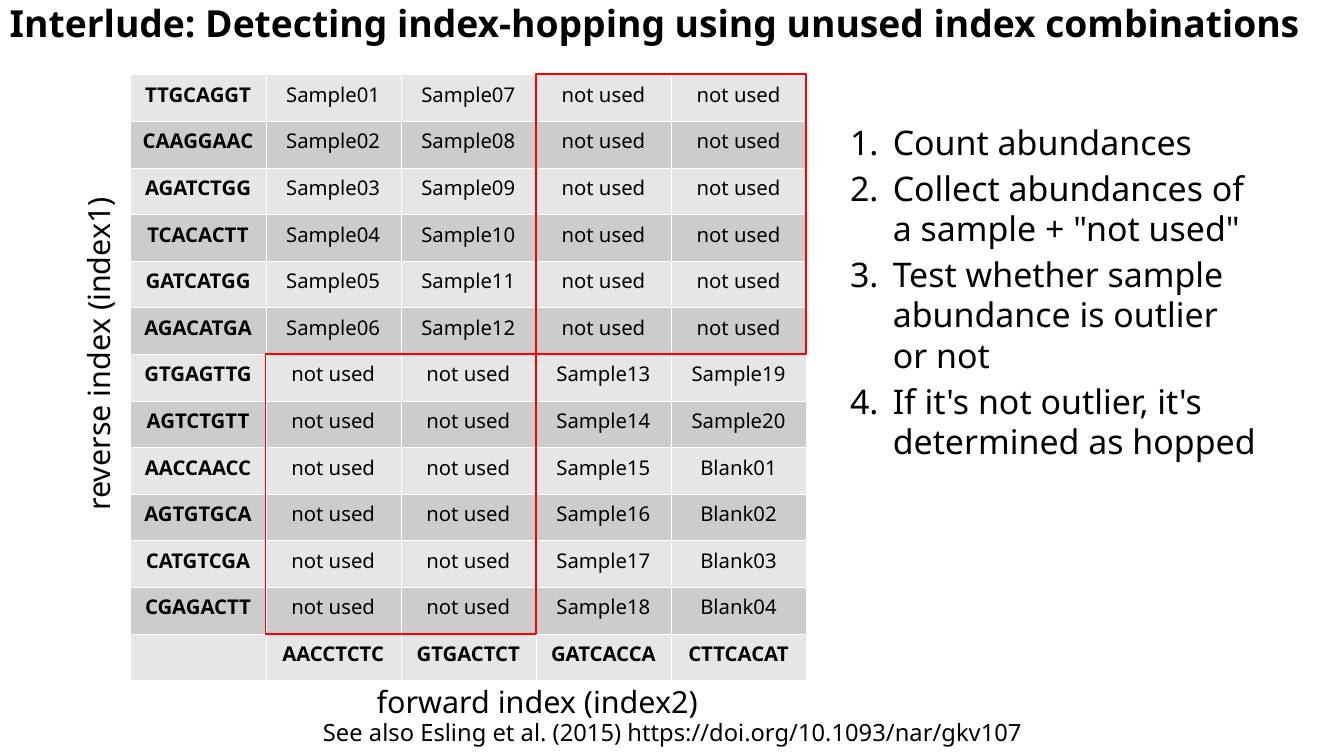
from dataclasses import dataclass

from lxml import etree
from pptx import Presentation
from pptx import util as u
from pptx.dml.color import RGBColor
from pptx.enum import shapes, text
from pptx.oxml import ns


@dataclass(frozen=True)
class Theme:
    font: str = "Noto Sans"
    ink: str = "000000"
    grid: str = "FFFFFF"
    frame: str = "FF0000"
    bands: tuple[str, str] = ("E6E6E6", "CCCCCC")
    title_size: int = 22
    list_size: int = 20
    axis_size: int = 18
    source_size: int = 14
    cell_size: int = 12


@dataclass(frozen=True)
class Label:
    words: str
    left: float
    top: float
    width: float
    height: float
    size: int
    rotation: int = 0


@dataclass(frozen=True)
class UnusedBlock:
    column: int
    row: int


THEME = Theme()
TABLE_LEFT, TABLE_TOP = 1.07, 0.61
COLUMN_WIDTH, ROW_HEIGHT = 5.54 / 5, 4.97 / 13
BLOCK_COLUMNS, BLOCK_ROWS = 2, 6

TITLE = "Interlude: Detecting index-hopping using unused index combinations"
STEPS = [
    "Count abundances",
    'Collect abundances of a sample + "not used"',
    "Test whether sample abundance is outlier or not",
    "If it's not outlier, it's determined as hopped",
]
REVERSE_INDEXES = [
    "TTGCAGGT", "CAAGGAAC", "AGATCTGG", "TCACACTT", "GATCATGG", "AGACATGA",
    "GTGAGTTG", "AGTCTGTT", "AACCAACC", "AGTGTGCA", "CATGTCGA", "CGAGACTT",
]
FORWARD_INDEXES = ["AACCTCTC", "GTGACTCT", "GATCACCA", "CTTCACAT"]
WELLS = [f"Sample{n:02}" for n in range(1, 21)] + [f"Blank{n:02}" for n in range(1, 5)]
UNUSED_BLOCKS = [UnusedBlock(3, 0), UnusedBlock(1, 6)]
LABELS = [
    Label("reverse index (index1)", -0.56, 2.68, 2.77, 0.44, THEME.axis_size, 270),
    Label("forward index (index2)", 2.99, 5.55, 2.83, 0.44, THEME.axis_size),
    Label("See also Esling et al. (2015) https://doi.org/10.1093/nar/gkv107",
          2.55, 5.84, 5.93, 0.36, THEME.source_size),
]


def color(value: str) -> RGBColor:
    return RGBColor.from_string(value)


def add_span(para, words: str, size: int, bold: bool = False) -> None:
    span = para.add_run()
    span.text = words
    span.font.name = THEME.font
    span.font.size = u.Pt(size)
    span.font.bold = bold
    span.font.color.rgb = color(THEME.ink)


def place(box, left: float, top: float, width: float, height: float) -> None:
    box.left, box.top = u.Inches(left), u.Inches(top)
    box.width, box.height = u.Inches(width), u.Inches(height)


def prepare_placeholder(box):
    """Clear the insets and start the text at the top left."""
    frame = box.text_frame
    frame.margin_left = frame.margin_right = frame.margin_top = frame.margin_bottom = 0
    frame.vertical_anchor = text.MSO_ANCHOR.TOP
    frame.auto_size = text.MSO_AUTO_SIZE.NONE
    frame.word_wrap = True
    return frame


def add_number(para) -> None:
    props = para._p.get_or_add_pPr()
    props.set("marL", str(u.Inches(0.47)))
    props.set("indent", str(u.Inches(-0.35)))
    bullet_color = etree.SubElement(props, ns.qn("a:buClr"))
    etree.SubElement(bullet_color, ns.qn("a:srgbClr"), val=THEME.ink)
    etree.SubElement(props, ns.qn("a:buFont"), typeface=THEME.font)
    etree.SubElement(props, ns.qn("a:buAutoNum"), type="arabicPeriod")


def fill_title(box) -> None:
    place(box, 0.08, 0, 10.87, 0.87)
    para = prepare_placeholder(box).paragraphs[0]
    para.alignment = text.PP_ALIGN.LEFT
    add_span(para, TITLE, THEME.title_size, bold=True)


def fill_steps(box) -> None:
    place(box, 6.85, 1, 3.46, 4.25)
    frame = prepare_placeholder(box)
    for position, step in enumerate(STEPS):
        para = frame.add_paragraph() if position else frame.paragraphs[0]
        add_number(para)
        para.space_before = u.Pt(2.8 if position else 0)
        add_span(para, step, THEME.list_size)


def index_rows() -> list[list[str]]:
    """Lay the wells column by column in the two used blocks of the grid."""
    rows = [[index] + ["not used"] * len(FORWARD_INDEXES) for index in REVERSE_INDEXES]
    for number, well in enumerate(WELLS):
        column, row = divmod(number, BLOCK_ROWS)
        rows[row + column // BLOCK_COLUMNS * BLOCK_ROWS][column + 1] = well
    return rows + [[""] + FORWARD_INDEXES]


def format_cell(cell, words: str, fill: str, bold: bool) -> None:
    props = cell._tc.get_or_add_tcPr()
    for side in ("lnL", "lnR", "lnT", "lnB"):
        line = etree.SubElement(props, ns.qn(f"a:{side}"), w=str(u.Pt(0.06)))
        solid = etree.SubElement(line, ns.qn("a:solidFill"))
        etree.SubElement(solid, ns.qn("a:srgbClr"), val=THEME.grid)
    cell.fill.solid()
    cell.fill.fore_color.rgb = color(fill)
    para = cell.text_frame.paragraphs[0]
    para.alignment = text.PP_ALIGN.CENTER
    if words:
        add_span(para, words, THEME.cell_size, bold)
    else:
        etree.SubElement(para._p, ns.qn("a:endParaRPr"), sz=str(THEME.cell_size * 100))


def add_index_table(page) -> None:
    rows = index_rows()
    columns = len(rows[0])
    table = page.shapes.add_table(
        len(rows), columns, u.Inches(TABLE_LEFT), u.Inches(TABLE_TOP),
        u.Inches(COLUMN_WIDTH * columns), u.Inches(ROW_HEIGHT * len(rows))).table
    table.first_row = table.horz_banding = False
    for r, row in enumerate(rows):
        for c, words in enumerate(row):
            is_index = c == 0 or r == len(rows) - 1
            format_cell(table.cell(r, c), words, THEME.bands[r % 2], is_index)


def add_unused_frame(page, block: UnusedBlock) -> None:
    box = page.shapes.add_shape(
        shapes.MSO_SHAPE.RECTANGLE,
        u.Inches(TABLE_LEFT + block.column * COLUMN_WIDTH),
        u.Inches(TABLE_TOP + block.row * ROW_HEIGHT),
        u.Inches(BLOCK_COLUMNS * COLUMN_WIDTH), u.Inches(BLOCK_ROWS * ROW_HEIGHT))
    box.shadow.inherit = False
    box.fill.background()
    box.line.color.rgb = color(THEME.frame)
    box.line.width = u.Pt(1)


def add_label(page, label: Label) -> None:
    """Add a one-line label; the right inset is left free for the text."""
    box = page.shapes.add_textbox(
        u.Inches(label.left), u.Inches(label.top),
        u.Inches(label.width), u.Inches(label.height))
    box.rotation = label.rotation
    frame = box.text_frame
    frame.word_wrap = True
    frame.auto_size = text.MSO_AUTO_SIZE.NONE
    frame.margin_right = 0
    add_span(frame.paragraphs[0], label.words, label.size)


def main() -> None:
    deck = Presentation()
    deck.slide_width, deck.slide_height = u.Inches(11.02), u.Inches(6.2)
    page = deck.slides.add_slide(deck.slide_layouts[1])
    fill_title(page.shapes.title)
    fill_steps(page.placeholders[1])
    add_index_table(page)
    for block in UNUSED_BLOCKS:
        add_unused_frame(page, block)
    for label in LABELS:
        add_label(page, label)
    deck.save("out.pptx")


if __name__ == "__main__":
    main()
